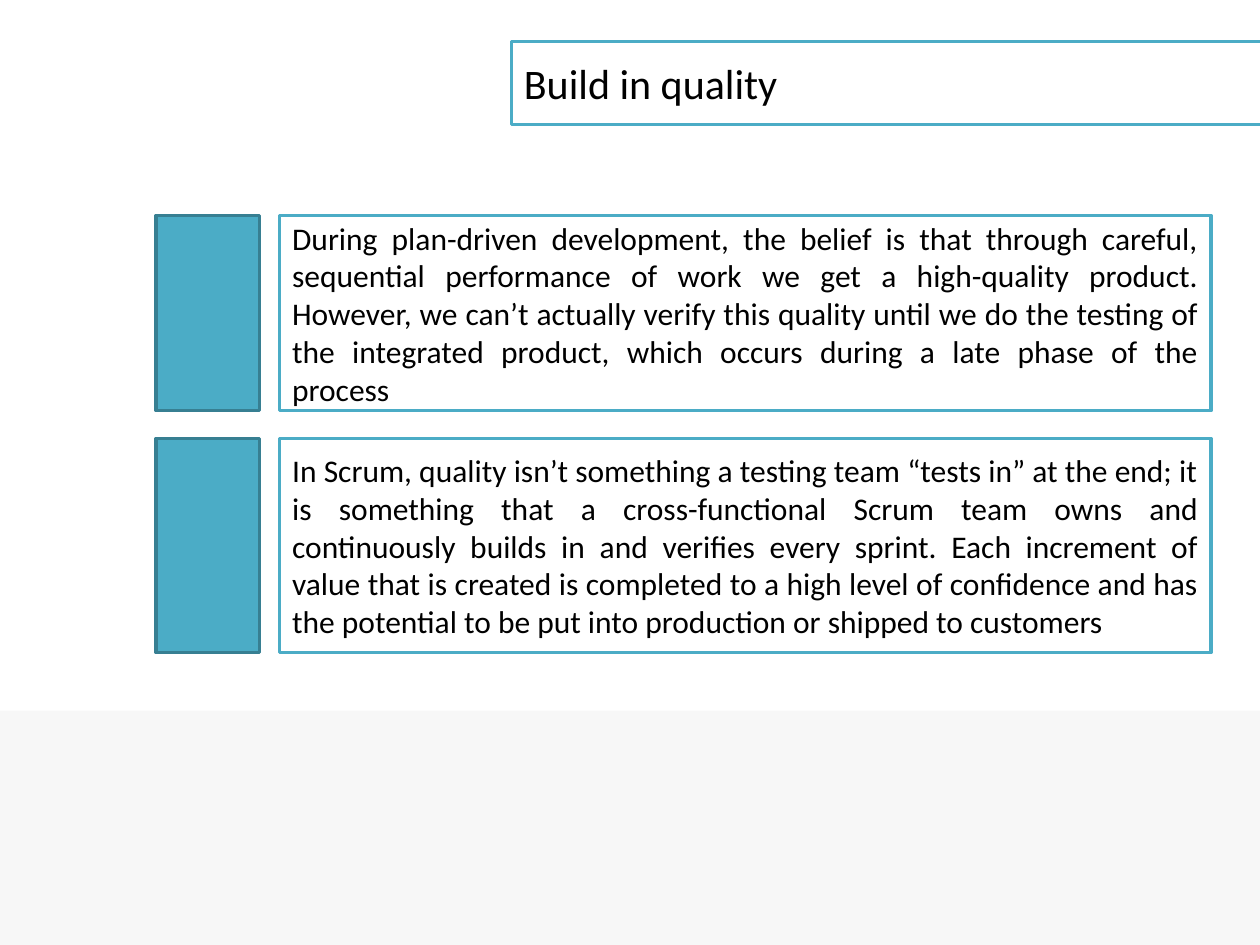
import pptx
import pptx.util
import pptx.dml.color
import pptx.enum.shapes
import pptx.enum.text

Inches = pptx.util.Inches
Align = pptx.enum.text.PP_ALIGN

deck = pptx.Presentation()
deck.slide_width = Inches(10)
deck.slide_height = Inches(7.5)
slide = deck.slides.add_slide(deck.slide_layouts[6])


def paint(part, color):
    part.solid()
    part.fore_color.rgb = pptx.dml.color.RGBColor.from_string(color)


def add_box(left, top, width, height, fill, line=None, text="", size=18, align=Align.LEFT):
    box = slide.shapes.add_shape(
        pptx.enum.shapes.MSO_SHAPE.RECTANGLE,
        Inches(left), Inches(top), Inches(width), Inches(height))
    box.shadow.inherit = False
    paint(box.fill, fill)
    if line:
        paint(box.line.fill, line)
        box.line.width = pptx.util.Pt(2)
    else:
        box.line.fill.background()
    if text:
        frame = box.text_frame
        frame.word_wrap = True
        frame.vertical_anchor = pptx.enum.text.MSO_ANCHOR.MIDDLE
        frame.text = text
        para = frame.paragraphs[0]
        para.alignment = align
        font = para.runs[0].font
        font.name = "Calibri"
        font.size = pptx.util.Pt(size)
        paint(font.fill, "000000")


# Footer band
add_box(0, 5.64, 10, 1.86, "F7F7F7")

# Title, running off the right edge
add_box(4.06, 0.33, 5.96, 0.66, "FFFFFF", "4BACC6", "Build in quality", 24)

# Rows: a text panel with a colored block on its left
rows = [
    (1.71, 1.55, "During plan-driven development, the belief is that through careful, "
     "sequential performance of work we get a high-quality product. However, we can’t "
     "actually verify this quality until we do the testing of the integrated product, "
     "which occurs during a late phase of the process"),
    (3.48, 1.7, "In Scrum, quality isn’t something a testing team “tests in” at the end; "
     "it is something that a cross-functional Scrum team owns and continuously builds in "
     "and verifies every sprint. Each increment of value that is created is completed to "
     "a high level of confidence and has the potential to be put into production or "
     "shipped to customers"),
]
for top, height, text in rows:
    add_box(2.22, top, 7.39, height, "FFFFFF", "4BACC6", text, align=Align.JUSTIFY)
    add_box(1.24, top, 0.82, height, "4BACC6", "377F92")

deck.save("out.pptx")
